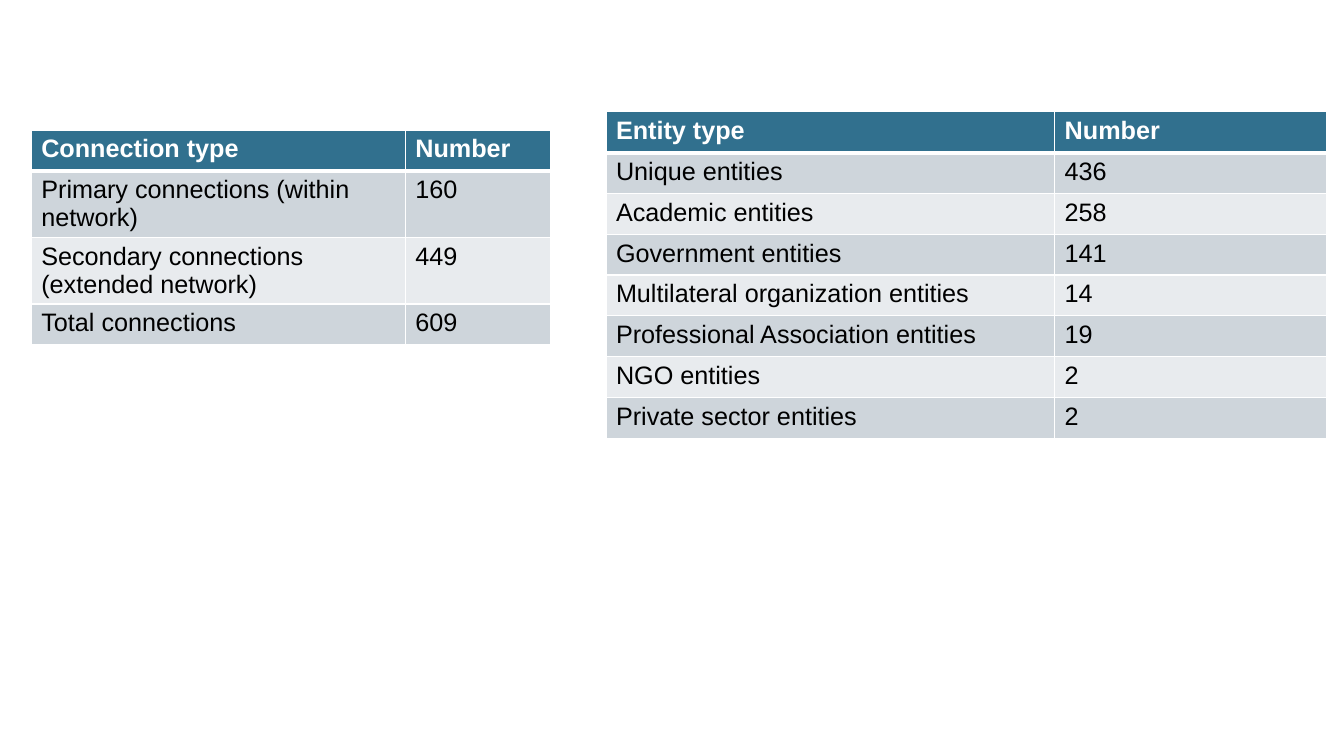
from pptx import Presentation
from pptx.dml.color import RGBColor
from pptx.oxml.ns import qn
from pptx.util import Inches, Pt
from lxml import etree

COLORS = {"head": "31708E", "odd": "CED5DB", "even": "E8EBEE",
          "white": "FFFFFF", "black": "000000"}
ROW = Inches(3.24 / 8)

ENTITIES = [
    ("Entity type", "Number"),
    ("Unique entities", "436"),
    ("Academic entities", "258"),
    ("Government entities", "141"),
    ("Multilateral organization entities", "14"),
    ("Professional Association entities", "19"),
    ("NGO entities", "2"),
    ("Private sector entities", "2"),
]
LINKS = [
    ("Connection type", "Number"),
    ("Primary connections (within network)", "160"),
    ("Secondary connections (extended network)", "449"),
    ("Total connections", "609"),
]


def color(name):
    return RGBColor.from_string(COLORS[name])


def set_borders(cell, top, bottom):
    """Draw white cell borders, with widths in points."""
    props = cell._tc.get_or_add_tcPr()
    for side, width in (("L", 1), ("R", 1), ("T", top), ("B", bottom)):
        line = etree.SubElement(props, qn(f"a:ln{side}"), w=str(Pt(width)))
        fill = etree.SubElement(line, qn("a:solidFill"))
        etree.SubElement(fill, qn("a:srgbClr"), val=COLORS["white"])


def style_cell(cell, text, row):
    head = row == 0
    # A thick rule parts the header from the body
    set_borders(cell, 3 if row == 1 else 1, 3 if head else 1)
    cell.fill.solid()
    band = "odd" if row % 2 else "even"
    cell.fill.fore_color.rgb = color("head" if head else band)
    cell.text = text
    font = cell.text_frame.paragraphs[0].font
    font.name = "Arial"
    font.size = Pt(18)
    font.bold = head
    font.color.rgb = color("white" if head else "black")


def add_grid(slide, data, left, top, widths, height):
    frame = slide.shapes.add_table(
        len(data), len(widths), Inches(left), Inches(top),
        Inches(sum(widths)), Inches(height))
    table = frame.table
    for col, width in zip(table.columns, widths):
        col.width = Inches(width)
    for row, texts in enumerate(data):
        table.rows[row].height = ROW
        for col, text in enumerate(texts):
            style_cell(table.cell(row, col), text, row)
    # Leave room for rows that wrap
    frame.height = Inches(height)


def main():
    deck = Presentation()
    deck.slide_width = Inches(13.33)
    deck.slide_height = Inches(7.5)
    slide = deck.slides.add_slide(deck.slide_layouts[6])

    # Entities on the right, connections on the left
    add_grid(slide, ENTITIES, 6.01, 1.11, (4.45, 2.7), 3.24)
    add_grid(slide, LINKS, 0.31, 1.29, (3.71, 1.44), 2.21)

    deck.save("out.pptx")


if __name__ == "__main__":
    main()
